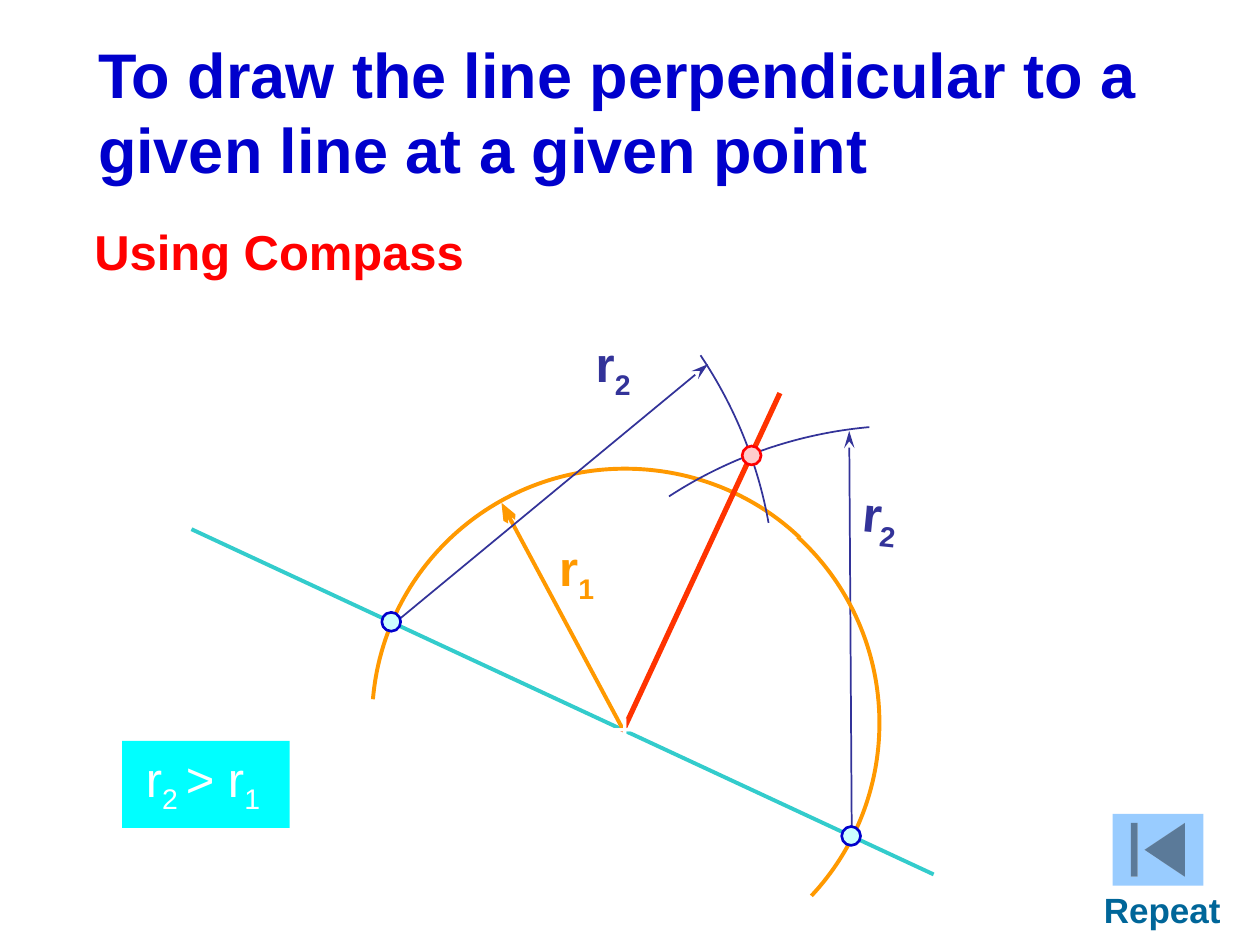
from math import atan2, cos, hypot, sin, tan

from lxml.etree import Element, SubElement
from pptx import Presentation
from pptx.dml.color import RGBColor
from pptx.enum.shapes import MSO_CONNECTOR, MSO_SHAPE
from pptx.enum.text import MSO_AUTO_SIZE, PP_ALIGN
from pptx.oxml.ns import qn
from pptx.util import Inches, Pt

TITLE_BLUE = "0000CC"
ORANGE = "FF9900"
NAVY = "333399"
WHITE = "FFFFFF"
RED = "FF0000"
DOT_SIZE = 0.15


def color(hex_string):
    return RGBColor.from_string(hex_string)


def set_line(shape, line_color, width):
    shape.line.color.rgb = color(line_color)
    shape.line.width = Pt(width)


def add_text(page, left, top, width, height, lines, size, text_color,
             bold=True, font="Arial", align=PP_ALIGN.LEFT, rotation=0):
    """Each line is a list of pieces; every second piece is a subscript."""
    box = page.shapes.add_textbox(Inches(left), Inches(top), Inches(width), Inches(height))
    box.rotation = rotation
    frame = box.text_frame
    frame.word_wrap = False
    frame.auto_size = MSO_AUTO_SIZE.SHAPE_TO_FIT_TEXT
    for number, pieces in enumerate(lines):
        para = frame.add_paragraph() if number else frame.paragraphs[0]
        para.alignment = align
        for index, piece in enumerate(pieces):
            span = para.add_run()
            span.text = piece
            span.font.name = font
            span.font.size = Pt(size)
            span.font.bold = bold
            span.font.color.rgb = color(text_color)
            if index % 2:
                span._r.get_or_add_rPr().set("baseline", "-25000")


def add_radius_label(page, left, top, subscript, text_color, rotation=0):
    add_text(page, left, top, 0.5, 0.57, [["r", subscript]], 28, text_color,
             rotation=rotation)


def add_line(page, start, end, line_color, width, arrowhead=None):
    line = page.shapes.add_connector(
        MSO_CONNECTOR.STRAIGHT, *(Inches(value) for value in start + end))
    set_line(line, line_color, width)
    if arrowhead:
        SubElement(line.line._get_or_add_ln(), qn("a:tailEnd"),
                   type=arrowhead, w="med", len="lg")
    SubElement(line._element.spPr, qn("a:effectLst"))


def curve_points(centre, start, end):
    """Two handles and the end point of the cubic curve for a circular arc."""
    (cx, cy), (x1, y1), (x2, y2) = centre, start, end
    radius = hypot(x1 - cx, y1 - cy)
    first, last = atan2(y1 - cy, x1 - cx), atan2(y2 - cy, x2 - cx)
    reach = 4 / 3 * tan((last - first) / 4) * radius
    return [(x1 - reach * sin(first), y1 + reach * cos(first)),
            (x2 + reach * sin(last), y2 - reach * cos(last)),
            end]


def add_compass_arc(page, centre, nodes, line_color, width):
    """Clockwise arc through the nodes; the frame includes the centre."""
    start, *others = [(Inches(x), Inches(y)) for x, y in nodes]
    builder = page.shapes.build_freeform(Inches(centre[0]), Inches(centre[1]))
    builder.move_to(*start)
    builder.add_line_segments(others, close=False)
    arc = builder.convert_to_shape()
    segments = list(arc._element.iter(qn("a:lnTo")))
    for segment, begin, end in zip(segments, nodes, nodes[1:]):
        curve = Element(qn("a:cubicBezTo"))
        for x, y in curve_points(centre, begin, end):
            SubElement(curve, qn("a:pt"), x=str(Inches(x) - arc.left),
                       y=str(Inches(y) - arc.top))
        segment.getparent().replace(segment, curve)
    arc.shadow.inherit = False
    arc.fill.background()
    set_line(arc, line_color, width)


def add_filled_shape(page, preset, left, top, width, height, fill_color):
    shape = page.shapes.add_shape(
        preset, Inches(left), Inches(top), Inches(width), Inches(height))
    shape.shadow.inherit = False
    shape.fill.solid()
    shape.fill.fore_color.rgb = color(fill_color)
    shape.line.fill.background()
    return shape


def add_dot(page, left, top, fill_color, line_color):
    dot = add_filled_shape(page, MSO_SHAPE.OVAL, left, top, DOT_SIZE, DOT_SIZE, fill_color)
    set_line(dot, line_color, 1.5)


def main():
    deck = Presentation()
    deck.slide_width, deck.slide_height = Inches(10), Inches(7.5)
    page = deck.slides.add_slide(deck.slide_layouts[6])

    add_text(page, 0.68, 0.23, 8.62, 1.3,
             [["To draw the line perpendicular to a"], ["given line at a given point"]],
             36, TITLE_BLUE)
    add_text(page, 0.65, 1.71, 3.14, 0.57, [["Using Compass"]], 28, RED)

    # Given line, compass arcs and perpendicular
    add_line(page, (1.52, 4.2), (7.41, 6.94), "33CCCC", 2.25)
    add_compass_arc(page, (4.96, 5.72), [(2.96, 5.55), (4.96, 3.72), (6.35, 4.27)],
                    ORANGE, 2.25)
    add_compass_arc(page, (7.21, 6.86), [(5.31, 3.94), (6.9, 3.39)], NAVY, 1)
    add_compass_arc(page, (2.67, 4.76), [(5.56, 2.82), (6.1, 4.15)], NAVY, 1)
    add_line(page, (4.94, 5.81), (6.19, 3.12), "FF3300", 3)

    # Radii
    add_line(page, (4.95, 5.8), (3.98, 3.99), ORANGE, 2.25, "arrow")
    add_radius_label(page, 4.34, 4.22, "1", ORANGE)
    add_line(page, (6.76, 6.6), (6.74, 3.42), NAVY, 1, "stealth")
    add_radius_label(page, 6.75, 3.8, "2", NAVY, rotation=5.8)
    add_text(page, 4.75, 5.49, 0.42, 0.57, [["+"]], 28, WHITE, font="Times New Roman")
    add_radius_label(page, 4.63, 2.6, "2", NAVY)
    add_line(page, (3.15, 4.93), (5.62, 2.89), NAVY, 1, "stealth")

    # Condition
    add_filled_shape(page, MSO_SHAPE.RECTANGLE, 0.97, 5.88, 1.33, 0.69, "00FFFF")
    add_text(page, 1.06, 5.89, 1.16, 0.57, [["r", "2 ", "> r", "1"]], 28, WHITE, bold=False)

    # Second part of the large arc, then the intersections
    add_compass_arc(page, (4.98, 5.74), [(6.33, 4.26), (6.98, 5.74), (6.44, 7.11)],
                    ORANGE, 2.25)
    for left, top, fill_color, line_color in (
        (3.03, 4.86, "CCFFFF", TITLE_BLUE),
        (6.68, 6.56, "CCFFFF", TITLE_BLUE),
        (5.89, 3.54, "FFCCCC", RED),
    ):
        add_dot(page, left, top, fill_color, line_color)

    add_filled_shape(page, MSO_SHAPE.ACTION_BUTTON_BEGINNING,
                     8.83, 6.46, 0.72, 0.57, "99CCFF")
    add_text(page, 8.66, 7, 1.13, 0.43, [["Repeat"]], 20, "006699", align=PP_ALIGN.CENTER)

    deck.save("out.pptx")


if __name__ == "__main__":
    main()
